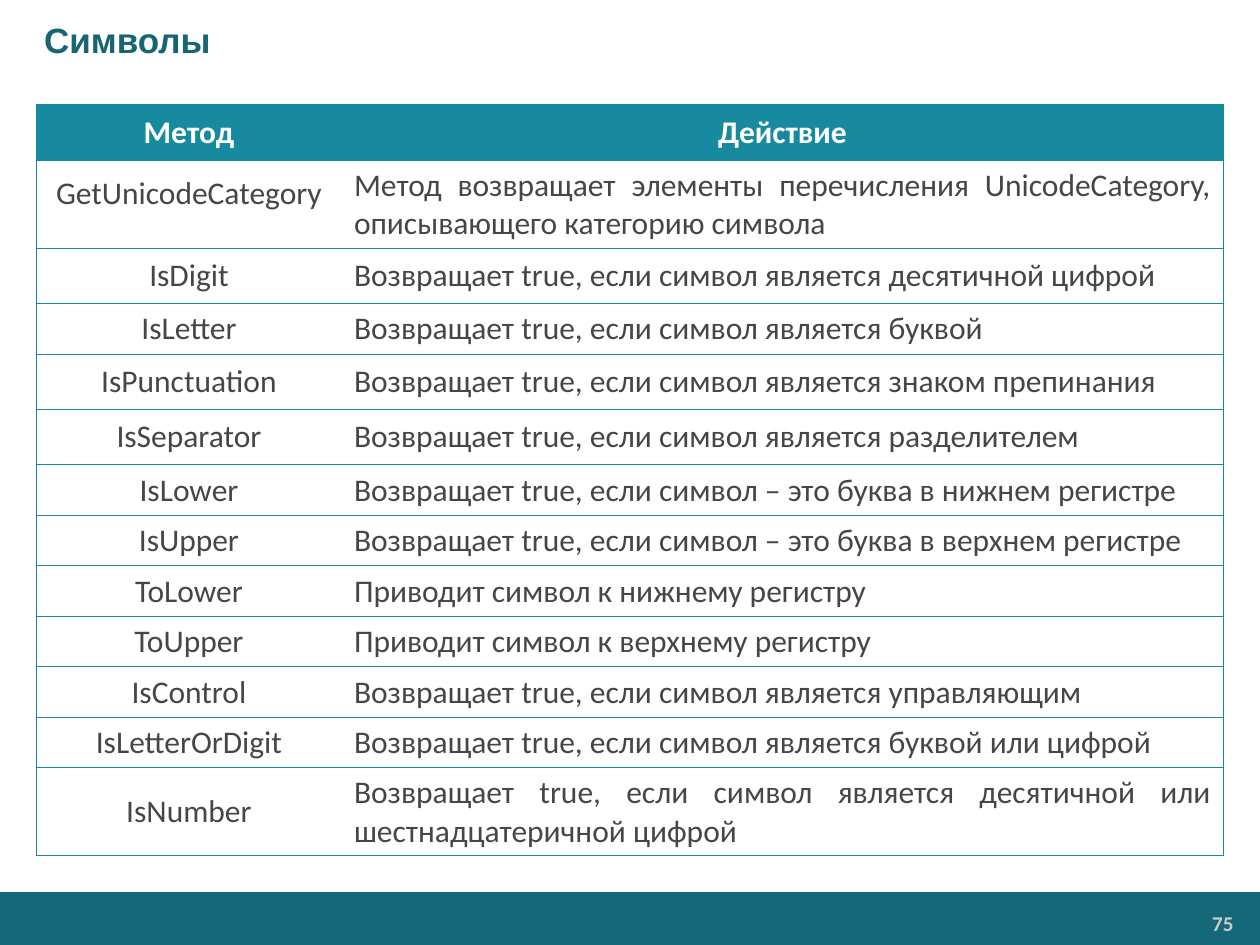
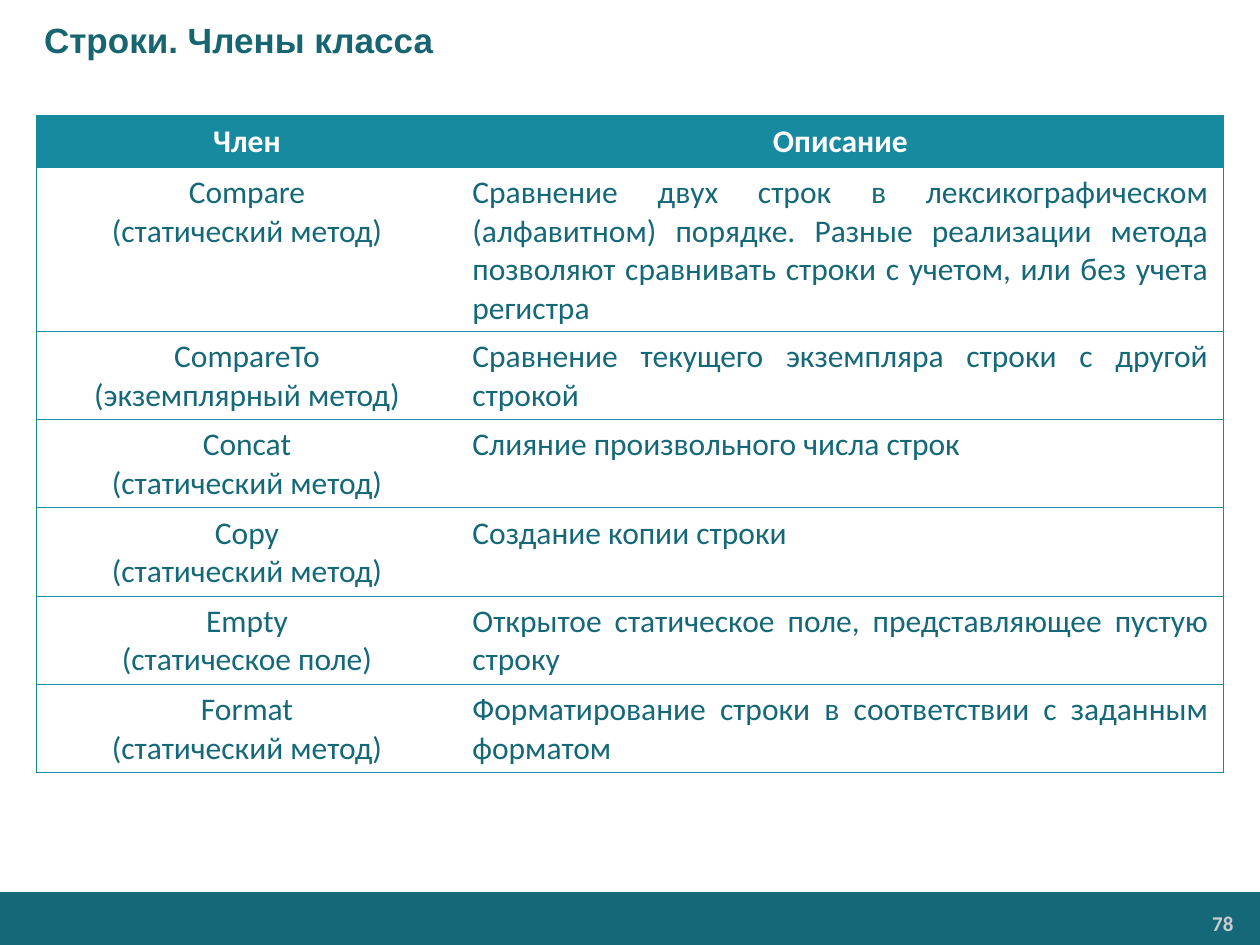
from dataclasses import dataclass

from lxml import etree
from pptx import Presentation
from pptx.dml.color import RGBColor
from pptx.enum.shapes import MSO_SHAPE
from pptx.enum.text import MSO_ANCHOR, MSO_AUTO_SIZE, PP_ALIGN
from pptx.oxml.ns import qn
from pptx.util import Inches, Pt

RECT = MSO_SHAPE.RECTANGLE
TOP, MIDDLE = MSO_ANCHOR.TOP, MSO_ANCHOR.MIDDLE
GROW = MSO_AUTO_SIZE.SHAPE_TO_FIT_TEXT
LEFT, CENTER, RIGHT = PP_ALIGN.LEFT, PP_ALIGN.CENTER, PP_ALIGN.RIGHT
JUST = PP_ALIGN.JUSTIFY

BAND = "146878"
TITLE = "176571"
TEAL = "178AA0"
GREY = "464547"
PAGE = "CCCCCC"
WHITE = "FFFFFF"
SANS = "Calibri"
HEAD = "Arial"


@dataclass
class Row:
    name: str
    text: str
    high: float = 0.4
    align: PP_ALIGN = LEFT
    tight: bool = False


@dataclass
class Page:
    title: str
    number: str
    top: float
    high: float
    cols: tuple[float, float]
    anchor: MSO_ANCHOR
    pad: float
    ink: str
    rows: list[Row]


def color(code: str) -> RGBColor:
    return RGBColor.from_string(code)


def style(frame, font: str, size: int, code: str, bold: bool, align: PP_ALIGN) -> None:
    for par in frame.paragraphs:
        par.alignment = align
        for run in par.runs:
            run.font.name = font
            run.font.size = Pt(size)
            run.font.bold = bold
            run.font.color.rgb = color(code)


def inset(part, side: float, edge: float) -> None:
    part.margin_left = part.margin_right = Inches(side)
    part.margin_top = part.margin_bottom = Inches(edge)


def border(cell, first: bool) -> None:
    props = cell._tc.get_or_add_tcPr()
    drawn = {"lnL": first, "lnR": not first, "lnT": True, "lnB": True}
    for tag, shown in drawn.items():
        line = etree.SubElement(props, qn(f"a:{tag}"), w=str(Pt(0.75)))
        if shown:
            fill = etree.SubElement(line, qn("a:solidFill"))
            etree.SubElement(fill, qn("a:srgbClr"), val=TEAL)
        else:
            etree.SubElement(line, qn("a:noFill"))


def draw_band(slide, number: str) -> None:
    band = slide.shapes.add_shape(RECT, 0, Inches(7.08), Inches(10), Inches(0.42))
    band.shadow.inherit = False
    band.fill.solid()
    band.fill.fore_color.rgb = color(BAND)
    band.line.fill.background()
    box = slide.shapes.add_textbox(Inches(8.23), Inches(7.19), Inches(1.63), Inches(0.28))
    frame = box.text_frame
    frame.word_wrap = True
    frame.auto_size = GROW
    inset(frame, 0.07, 0.04)
    frame.text = number
    style(frame, SANS, 12, PAGE, True, RIGHT)


def draw_title(slide, text: str) -> None:
    box = slide.shapes.add_textbox(0, 0, Inches(10), Inches(0.63))
    frame = box.text_frame
    frame.word_wrap = True
    frame.vertical_anchor = MIDDLE
    frame.margin_left = Inches(0.35)
    frame.text = text
    style(frame, HEAD, 20, TITLE, True, LEFT)


def draw_table(slide, page: Page) -> None:
    shape = slide.shapes.add_table(
        len(page.rows), len(page.cols), Inches(0.29), Inches(page.top),
        Inches(sum(page.cols)), Inches(page.high))
    table = shape.table
    table.first_row = table.horz_banding = False
    for col, width in zip(table.columns, page.cols):
        col.width = Inches(width)
    for i, row in enumerate(page.rows):
        table.rows[i].height = Inches(row.high)
        head = i == 0
        for j, text in enumerate((row.name, row.text)):
            cell = table.cell(i, j)
            cell.vertical_anchor = page.anchor
            inset(cell, page.pad, 0.05)
            border(cell, j == 0)
            if head:
                cell.fill.solid()
                cell.fill.fore_color.rgb = color(TEAL)
            else:
                cell.fill.background()
            cell.text_frame.text = text
            align = row.align if j else CENTER
            style(cell.text_frame, SANS, 18, WHITE if head else page.ink, head, align)
        if row.tight:
            cell = table.cell(i, 0)
            inset(cell, 0.07, 0)
            par = cell.text_frame.paragraphs[0]
            par.line_spacing = Pt(10)
            par.space_after = Pt(2)
    shape.height = Inches(page.high)


CHARS = [
    Row("Метод", "Действие", 0.44, CENTER),
    Row("GetUnicodeCategory", "Метод возвращает элементы перечисления UnicodeCategory, "
        "описывающего категорию символа", 0.64, JUST, True),
    Row("IsDigit", "Возвращает true, если символ является десятичной цифрой", 0.44),
    Row("IsLetter", "Возвращает true, если символ является буквой"),
    Row("IsPunctuation", "Возвращает true, если символ является знаком препинания", 0.44),
    Row("IsSeparator", "Возвращает true, если символ является разделителем", 0.44),
    Row("IsLower", "Возвращает true, если символ – это буква в нижнем регистре"),
    Row("IsUpper", "Возвращает true, если символ – это буква в верхнем регистре"),
    Row("ToLower", "Приводит символ к нижнему регистру"),
    Row("ToUpper", "Приводит символ к верхнему регистру"),
    Row("IsControl", "Возвращает true, если символ является управляющим"),
    Row("IsLetterOrDigit", "Возвращает true, если символ является буквой или цифрой"),
    Row("IsNumber", "Возвращает true, если символ является десятичной или "
        "шестнадцатеричной цифрой", 0.64, JUST),
]

PARTS = [
    ("Compare", "статический метод", "Сравнение двух строк в лексикографическом "
     "(алфавитном) порядке. Разные реализации метода позволяют сравнивать строки "
     "с учетом, или без учета регистра"),
    ("CompareTo", "экземплярный метод", "Сравнение текущего экземпляра строки с другой строкой"),
    ("Concat", "статический метод", "Слияние произвольного числа строк"),
    ("Copy", "статический метод", "Создание копии строки"),
    ("Empty", "статическое поле", "Открытое статическое поле, представляющее пустую строку"),
    ("Format", "статический метод", "Форматирование строки в соответствии с заданным форматом"),
]

STRINGS = [Row("Член", "Описание", 0.41, CENTER)] + [
    Row(f"{name}\n({kind})", text, 0.41, JUST) for name, kind, text in PARTS]

PAGES = [
    Page("Символы", "75", 0.83, 5.97, (2.42, 7), MIDDLE, 0.1, GREY, CHARS),
    Page("Строки. Члены класса", "78", 0.92, 5.21, (3.34, 6.08), TOP, 0.12, BAND, STRINGS),
]


def main() -> None:
    deck = Presentation()
    deck.slide_width, deck.slide_height = Inches(10), Inches(7.5)
    for page in PAGES:
        slide = deck.slides.add_slide(deck.slide_layouts[6])
        draw_band(slide, page.number)
        draw_title(slide, page.title)
        draw_table(slide, page)
    deck.save("out.pptx")


if __name__ == "__main__":
    main()
